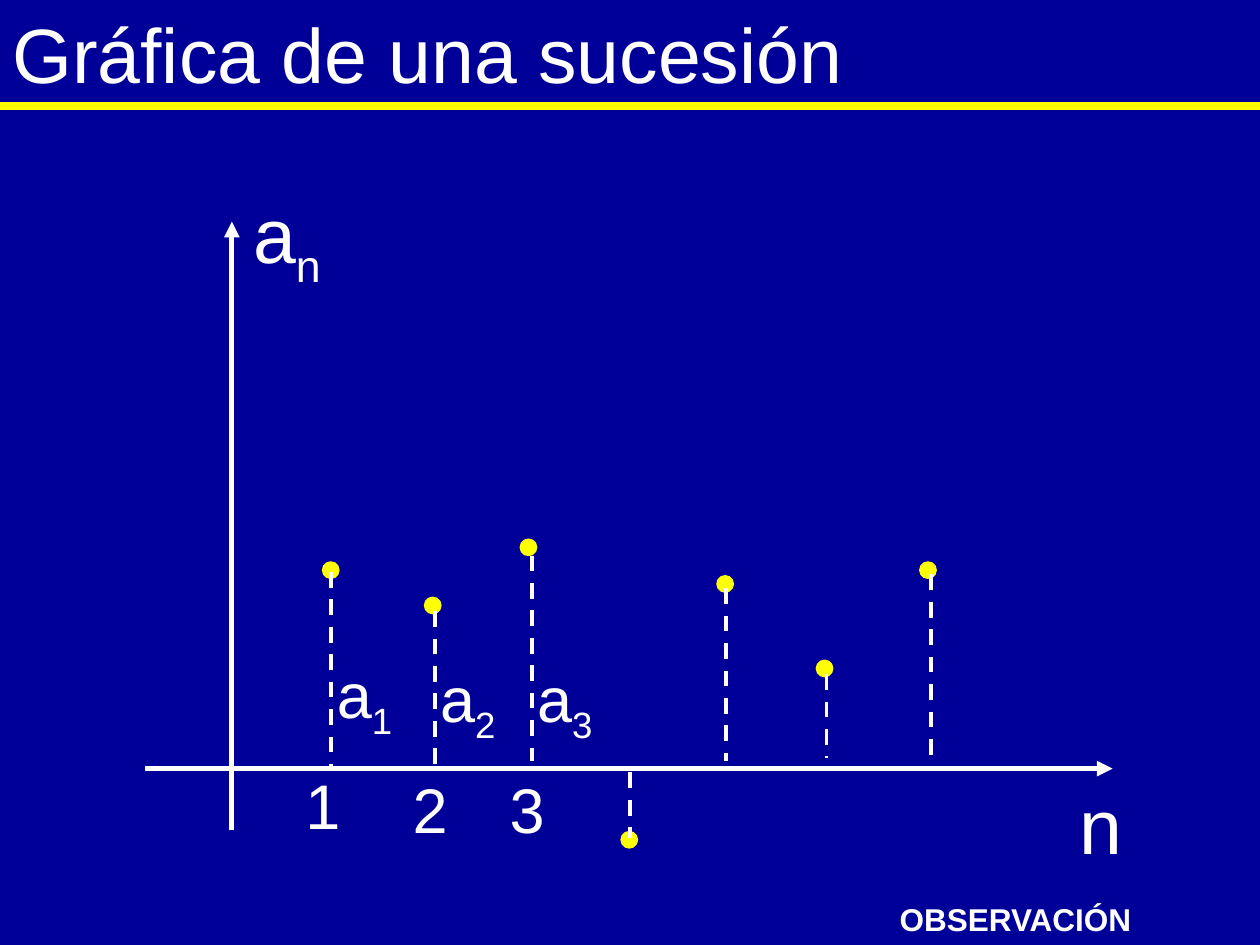
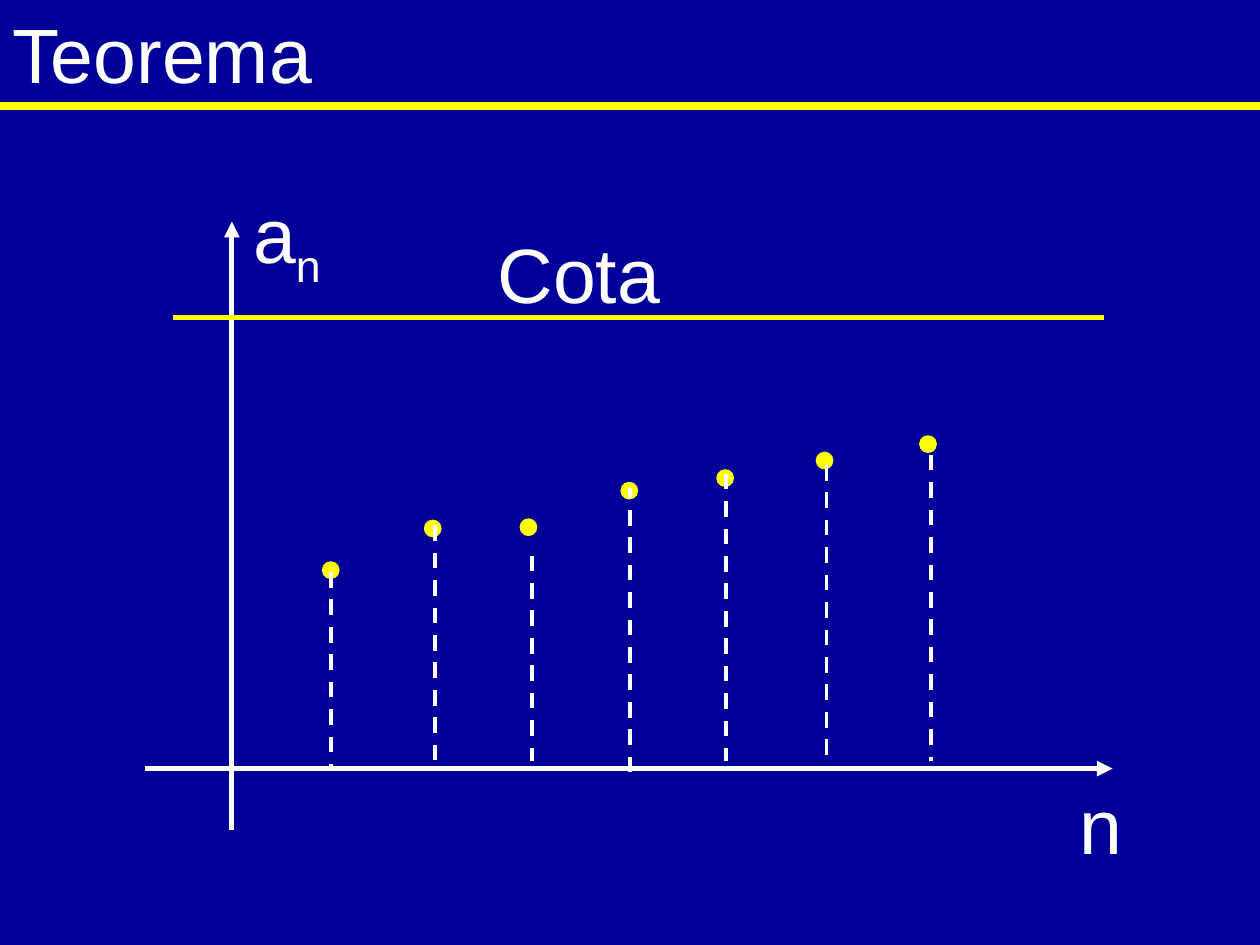
from collections import namedtuple

from lxml.etree import SubElement
from pptx import Presentation
from pptx.dml.color import RGBColor
from pptx.enum.dml import MSO_LINE
from pptx.enum.shapes import MSO_CONNECTOR, MSO_SHAPE
from pptx.enum.text import MSO_ANCHOR
from pptx.oxml.ns import qn
from pptx.util import Pt

NAVY = RGBColor(0x00, 0x00, 0x99)
WHITE = RGBColor(0xFF, 0xFF, 0xFF)
YELLOW = RGBColor(0xFF, 0xFF, 0x00)
FONT = "Arial"
DOT = 9.4

Box = namedtuple("Box", "x y w h")
PAGE = Box(0, 0, 720, 540)
HEAD = Box(0, 0, 680, 60.5)
PLOT = Box(82.8, 126.7, 553, 347.8)
AXIS_X = 49.7   # vertical axis, from the left of the plot
AXIS_Y = 312.5  # horizontal axis, from the top of the plot

# Per term: dot x and stem x from the plot's left, stem foot above the axis
Term = namedtuple("Term", "dot stem foot rising")
TERMS = [
    Term(106.2, 106.6, 0.7, False),
    Term(164.5, 165.6, -0.7, False),
    Term(219.2, 221, 4.3, False),
    Term(276.8, 277.2, -2.2, True),
    Term(331.6, 331.9, 4.3, False),
    Term(388.4, 389.5, 5.8, False),
    Term(447.5, 449.3, 4.3, False),
]

# Heights above the horizontal axis: dot centre, stem tip
MIXED = [(113.4, 112.3), (93.2, 90), (126.4, 121.7), (-40.7, -39.6),
         (105.5, 103), (57.2, 54), (113.4, 110.9)]
GROWING = [(113.4, 112.3), (137.2, 139), (137.9, 121.7), (158.8, 160.6),
           (166, 168.5), (176, 173.5), (185.4, 179.3)]


def write(slide, box, text, size, sub="", bold=False, anchor=MSO_ANCHOR.TOP):
    """Add a text box, with an optional subscript after the text."""
    frame = slide.shapes.add_textbox(*map(Pt, box)).text_frame
    frame.word_wrap = True
    frame.vertical_anchor = anchor
    par = frame.paragraphs[0]
    par.font.name = FONT
    par.font.size = Pt(size)
    par.font.bold = bold
    par.font.color.rgb = WHITE
    par.add_run().text = text
    if sub:
        low = par.add_run()
        low.text = sub
        low.font._element.set("baseline", "-25000")


def draw_line(slide, start, end, color, width, arrow=False, dash=False):
    line = slide.shapes.add_connector(
        MSO_CONNECTOR.STRAIGHT, *map(Pt, (*start, *end)))
    line.line.color.rgb = color
    line.line.width = Pt(width)
    if dash:
        line.line.dash_style = MSO_LINE.DASH
    if arrow:
        SubElement(line.line._get_or_add_ln(), qn("a:tailEnd"), type="triangle")
    SubElement(line._element.spPr, qn("a:effectLst"))


def draw_dot(slide, x, y):
    dot = slide.shapes.add_shape(
        MSO_SHAPE.OVAL, Pt(x - DOT / 2), Pt(y - DOT / 2), Pt(DOT), Pt(DOT))
    dot.shadow.inherit = False
    dot.fill.solid()
    dot.fill.fore_color.rgb = YELLOW
    dot.line.color.rgb = YELLOW
    dot.line.width = Pt(0.75)


def draw_head(slide, box, title):
    write(slide, box, title, 44, anchor=MSO_ANCHOR.MIDDLE)
    base = box.y + box.h
    draw_line(slide, (box.x, base), (box.x + PAGE.w, base), YELLOW, 4.5)


def draw_axes(slide, box):
    x, y = box.x + AXIS_X, box.y + AXIS_Y
    draw_line(slide, (box.x, y), (box.x + box.w, y), WHITE, 3, arrow=True)
    draw_line(slide, (x, box.y + box.h), (x, box.y), WHITE, 3, arrow=True)
    write(slide, Box(box.x + 527, y + 1.5, 61, 60), "n", 44)
    write(slide, Box(x + 5, box.y - 23.7, 99, 60), "a", 44, sub="n")


def draw_terms(slide, box, heights):
    """Draw a dot and a dashed stem for each term of the sequence."""
    axis = box.y + AXIS_Y
    for term, (dot, _) in zip(TERMS, heights):
        draw_dot(slide, box.x + term.dot, axis - dot)
    for term, (_, tip) in zip(TERMS, heights):
        x = box.x + term.stem
        ends = [(x, axis - tip), (x, axis - term.foot)]
        if term.rising:
            ends.reverse()
        draw_line(slide, *ends, WHITE, 2.25, dash=True)


def draw_names(slide, box):
    """Label the first three terms beside their stems and below the axis."""
    axis = box.y + AXIS_Y
    for num, (term, drop) in enumerate(zip(TERMS, (0, 2.2, 2.2)), 1):
        x = box.x + term.stem
        write(slide, Box(x - 4, axis - 68.2 + drop, 57, 50), "a", 36, sub=str(num))
        left = 22 if num == 1 else 19.7
        write(slide, Box(x - left, axis - 4.5 + drop, 57, 50), str(num), 36)


def draw_bound(slide, box):
    y = box.y + 54.7
    draw_line(slide, (box.x + 15.8, y), (box.x + 548, y), YELLOW, 3)
    write(slide, Box(box.x + 194.4, y - 55.4, 129, 60), "Cota", 44)


def add_page(deck, title, heights):
    slide = deck.slides.add_slide(deck.slide_layouts[6])
    fill = slide.background.fill
    fill.solid()
    fill.fore_color.rgb = NAVY
    draw_head(slide, HEAD, title)
    draw_axes(slide, PLOT)
    draw_terms(slide, PLOT, heights)
    return slide


def main():
    deck = Presentation()
    deck.slide_width, deck.slide_height = Pt(PAGE.w), Pt(PAGE.h)

    graph = add_page(deck, "Gráfica de una sucesión", MIXED)
    draw_names(graph, PLOT)
    write(graph, Box(507, 511, 207, 29), "OBSERVACIÓN", 18, bold=True)

    theorem = add_page(deck, "Teorema", GROWING)
    draw_bound(theorem, PLOT)

    deck.save("out.pptx")


if __name__ == "__main__":
    main()
